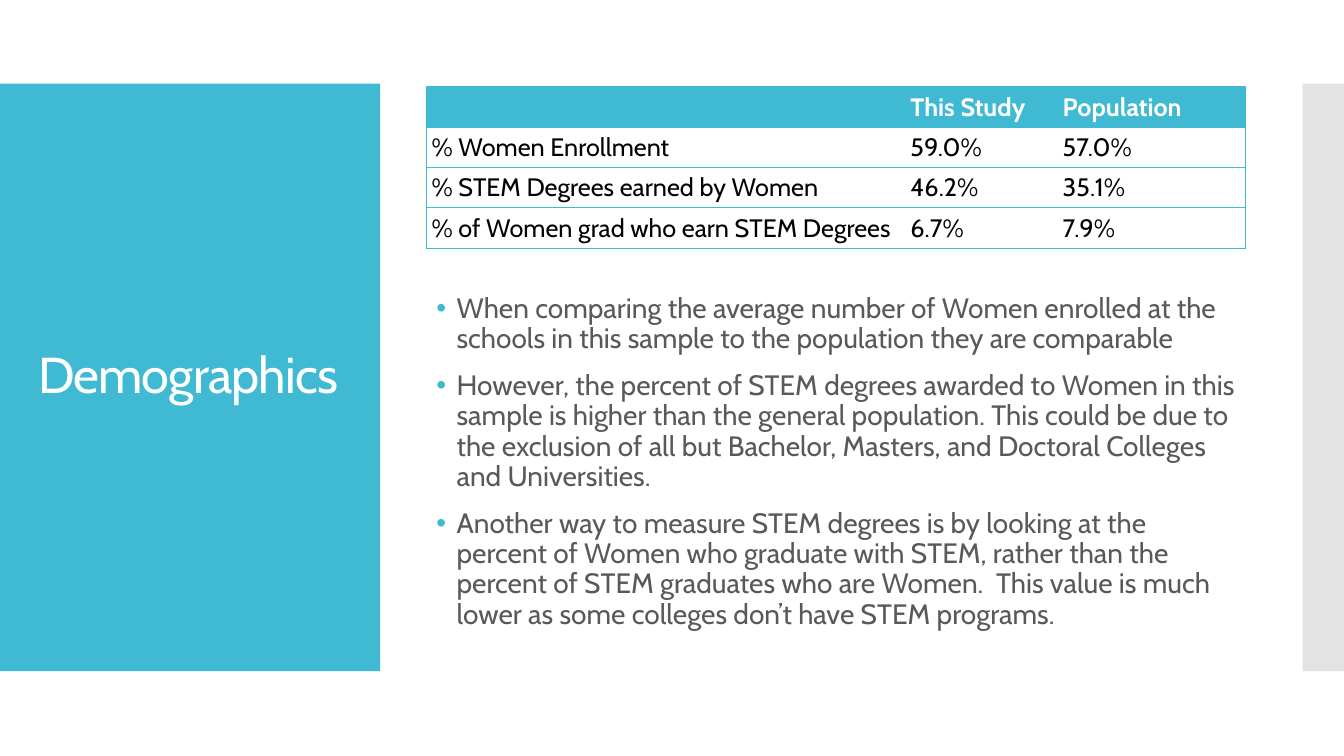
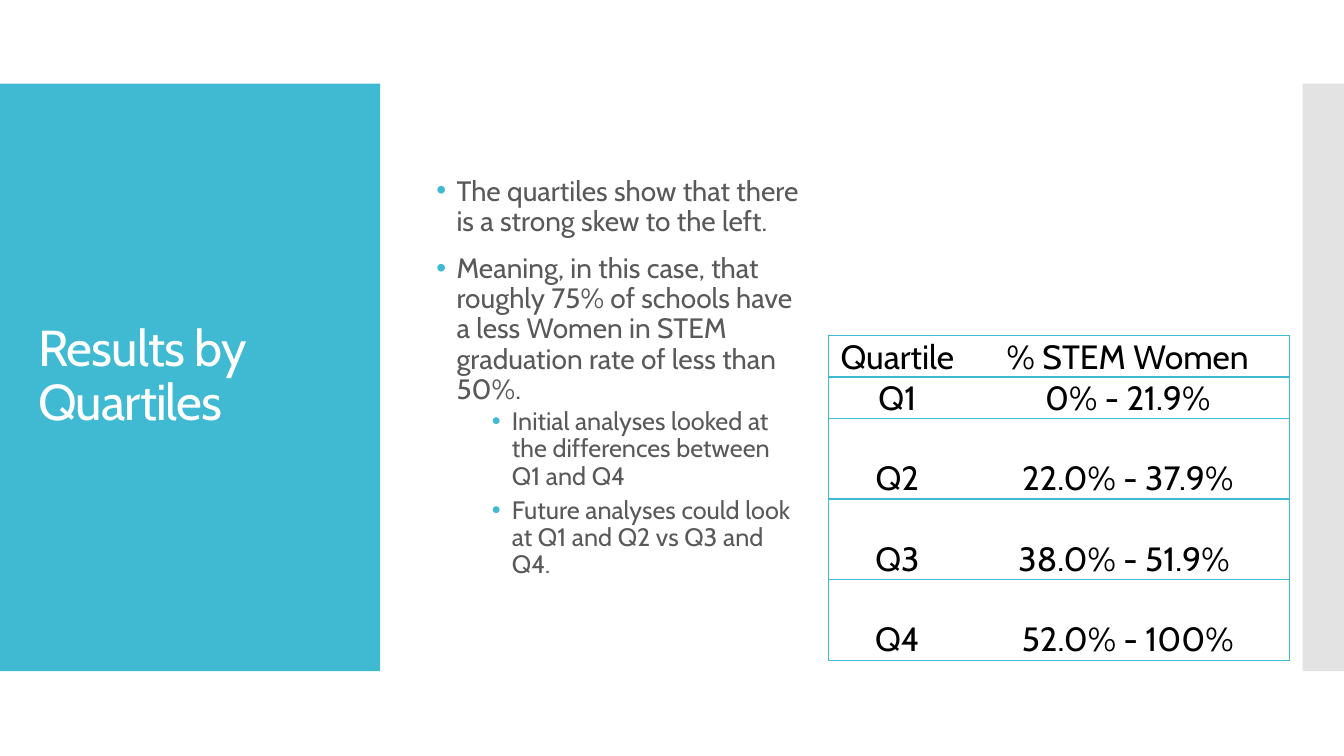
from lxml import etree
from pptx import Presentation
from pptx import util as u
from pptx.dml.color import RGBColor
from pptx.enum import shapes, text
from pptx.oxml import ns

SCALE = 9144
FONT = "Cabin"
TEAL, GREY, INK, BLACK, WHITE = "40BAD2", "C8C8C8", "595959", "000000", "FFFFFF"
TITLE = {"size": 36, "color": WHITE}
LEVELS = [
    {"size": 20, "indent": 20, "before": 12, "after": 0},
    {"size": 18, "indent": 75, "before": 2.5, "after": 2.5},
]
HANGING = 20
BANDS = [((0, 83, 377, 583), TEAL, 100), ((1292, 83, 42, 583), GREY, 50)]
TITLE_BOX = (28, 123, 322, 503)
BOTTOM, MIDDLE, TOP = (text.MSO_ANCHOR.BOTTOM, text.MSO_ANCHOR.MIDDLE, text.MSO_ANCHOR.TOP)
LEFT, CENTER = text.PP_ALIGN.LEFT, text.PP_ALIGN.CENTER

SLIDES = [
    {
        "title": "Demographics",
        "body_box": (423, 262, 812, 393),
        "bullets": [
            (0, "When comparing the average number of Women enrolled at the schools in this sample to the population they are comparable"),
            (0, "However, the percent of STEM degrees awarded to Women in this sample is higher than the general population. This could be due to the exclusion of all but Bachelor, Masters, and Doctoral Colleges and Universities."),
            (0, "Another way to measure STEM degrees is by looking at the percent of Women who graduate with STEM, rather than the percent of STEM graduates who are Women.  This value is much lower as some colleges don’t have STEM programs."),
        ],
        "table": {
            "corner": (423, 86),
            "columns": [475, 151, 186],
            "heights": [40] * 4,
            "rows": [
                ("", "This Study", "Population"),
                ("% Women Enrollment", "59.0%", "57.0%"),
                ("% STEM Degrees earned by Women", "46.2%", "35.1%"),
                ("% of Women grad who earn STEM Degrees", "6.7%", "7.9%"),
            ],
            "size": 18, "line": 0.75, "align": LEFT, "header": True,
            "margins": (5, 5, 5, 5),
            "anchors": [(TOP, TOP, TOP)] * 4,
        },
    },
    {
        "title": "Results by Quartiles",
        "body_box": (423, 95, 380, 560),
        "bullets": [
            (0, "The quartiles show that there is a strong skew to the left."),
            (0, "Meaning, in this case, that roughly 75% of schools have a less Women in STEM graduation rate of less than 50%."),
            (1, "Initial analyses looked at the differences between Q1 and Q4"),
            (1, "Future analyses could look at Q1 and Q2 vs Q3 and Q4."),
        ],
        "table": {
            "corner": (822, 333),
            "columns": [136, 321],
            "heights": [41] * 2 + [80] * 3,
            "rows": [
                ("Quartile", "% STEM Women"),
                ("Q1", "0% - 21.9%"),
                ("Q2", "22.0% - 37.9%"),
                ("Q3", "38.0% - 51.9% "),
                ("Q4", "52.0% - 100%"),
            ],
            "size": 24, "line": 1, "align": CENTER, "header": False,
            "margins": (1, 1, 1, 0),
            "anchors": [(BOTTOM, MIDDLE)] * 2 + [(BOTTOM, BOTTOM)] * 3,
        },
    },
]


def px(value):
    return u.Emu(value * SCALE)


def rgb(code):
    return RGBColor.from_string(code)


def node(parent, tag, **attributes):
    child = etree.SubElement(parent, ns.qn("a:" + tag))
    for name, value in attributes.items():
        child.set(name, str(value))
    return child


def assign(target, values):
    for name, value in values.items():
        setattr(target, name, value)


def write(para, words, size, color, bold=False):
    span = para.add_run()
    span.text = words
    assign(span.font, {"name": FONT, "size": u.Pt(size), "bold": bold})
    span.font.color.rgb = rgb(color)
    return span


def add_band(page, box, color, opacity):
    band = page.shapes.add_shape(shapes.MSO_SHAPE.RECTANGLE, *map(px, box))
    band.shadow.inherit = False
    band.line.fill.background()
    band.fill.solid()
    band.fill.fore_color.rgb = rgb(color)
    if opacity < 100:
        tint = band.fill._xPr.find(".//" + ns.qn("a:srgbClr"))
        node(tint, "alpha", val=opacity * 1000)


def add_frame(page, box):
    frame = page.shapes.add_textbox(*map(px, box)).text_frame
    assign(frame, {"word_wrap": True, "vertical_anchor": MIDDLE})
    return frame


def add_title(page, words):
    para = add_frame(page, TITLE_BOX).paragraphs[0]
    para.line_spacing = 0.9
    span = write(para, words, **TITLE)
    span.font._element.set("spc", "-60")


def add_bullets(page, box, bullets):
    frame = add_frame(page, box)
    for index, (level, words) in enumerate(bullets):
        para = frame.add_paragraph() if index else frame.paragraphs[0]
        style = LEVELS[level]
        assign(para, {
            "level": level,
            "line_spacing": 0.9,
            "space_before": u.Pt(style["before"]),
            "space_after": u.Pt(style["after"]),
        })
        props = para._p.get_or_add_pPr()
        props.set("marL", str(px(style["indent"])))
        props.set("indent", str(px(-HANGING)))
        node(node(props, "buClr"), "srgbClr", val=TEAL)
        node(props, "buFont", typeface="Arial")
        node(props, "buChar", char="•")
        write(para, words, style["size"], INK)


def set_borders(cell, width, drawn):
    props = cell._tc.get_or_add_tcPr()
    for place, side in enumerate("LRTB"):
        line = node(props, "ln" + side, w=u.Pt(width))
        if side in drawn:
            node(node(line, "solidFill"), "srgbClr", val=TEAL)
        else:
            node(line, "noFill")
        props.insert(place, line)


def add_table(page, data):
    columns, heights, rows = data["columns"], data["heights"], data["rows"]
    box = (*data["corner"], sum(columns), sum(heights))
    table = page.shapes.add_table(len(rows), len(columns), *map(px, box)).table
    assign(table, {"first_row": False, "horz_banding": False})
    for column, width in zip(table.columns, columns):
        column.width = px(width)
    sides = ("margin_left", "margin_top", "margin_right", "margin_bottom")
    margins = {side: px(value) for side, value in zip(sides, data["margins"])}
    for r, values in enumerate(rows):
        table.rows[r].height = px(heights[r])
        header = data["header"] and r == 0
        for c, words in enumerate(values):
            cell = table.cell(r, c)
            assign(cell, {"vertical_anchor": data["anchors"][r][c], **margins})
            cell.fill.solid()
            cell.fill.fore_color.rgb = rgb(TEAL if header else WHITE)
            drawn = "TB" + "L" * (c == 0) + "R" * (c == len(columns) - 1)
            set_borders(cell, data["line"], drawn)
            para = cell.text_frame.paragraphs[0]
            para.alignment = data["align"]
            if words:
                write(para, words, data["size"], WHITE if header else BLACK, header)


def main():
    deck = Presentation()
    assign(deck, {"slide_width": px(1333), "slide_height": px(750)})
    for content in SLIDES:
        page = deck.slides.add_slide(deck.slide_layouts[6])
        for band in BANDS:
            add_band(page, *band)
        add_title(page, content["title"])
        add_bullets(page, content["body_box"], content["bullets"])
        add_table(page, content["table"])
    deck.save("out.pptx")


if __name__ == "__main__":
    main()
